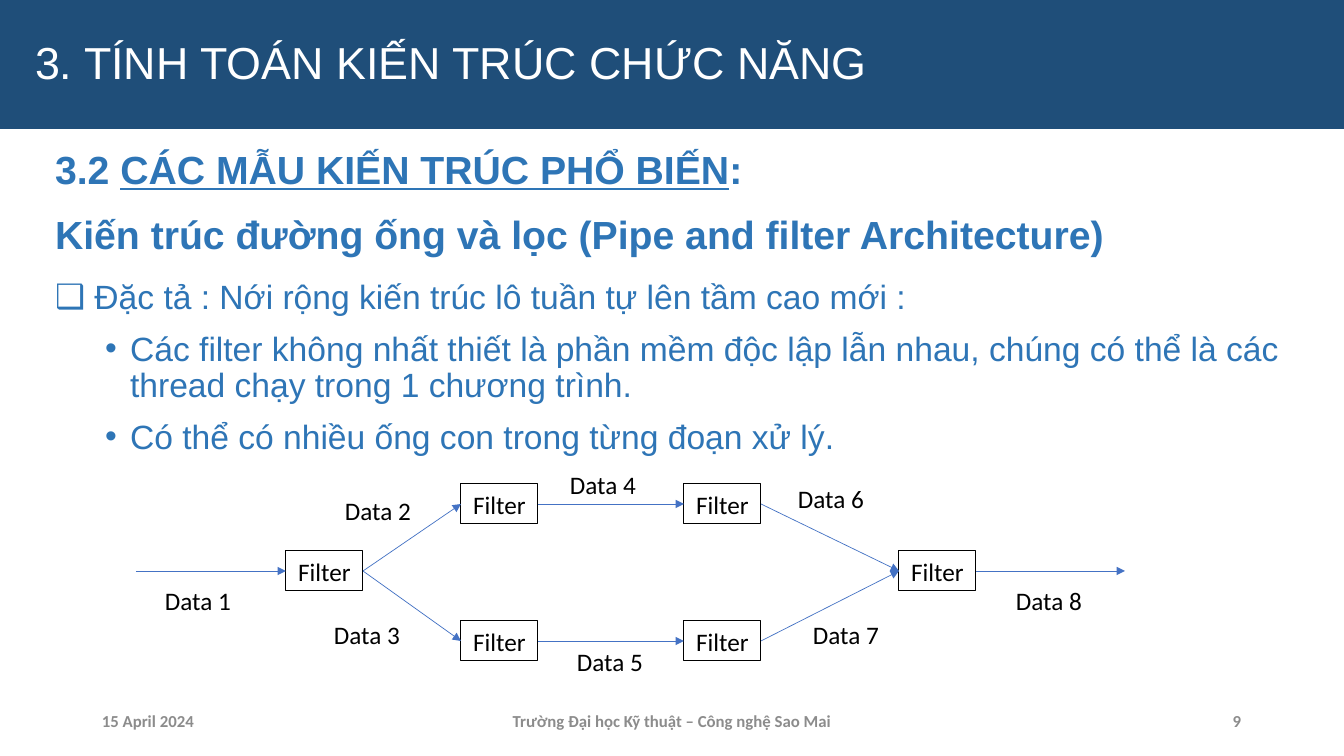
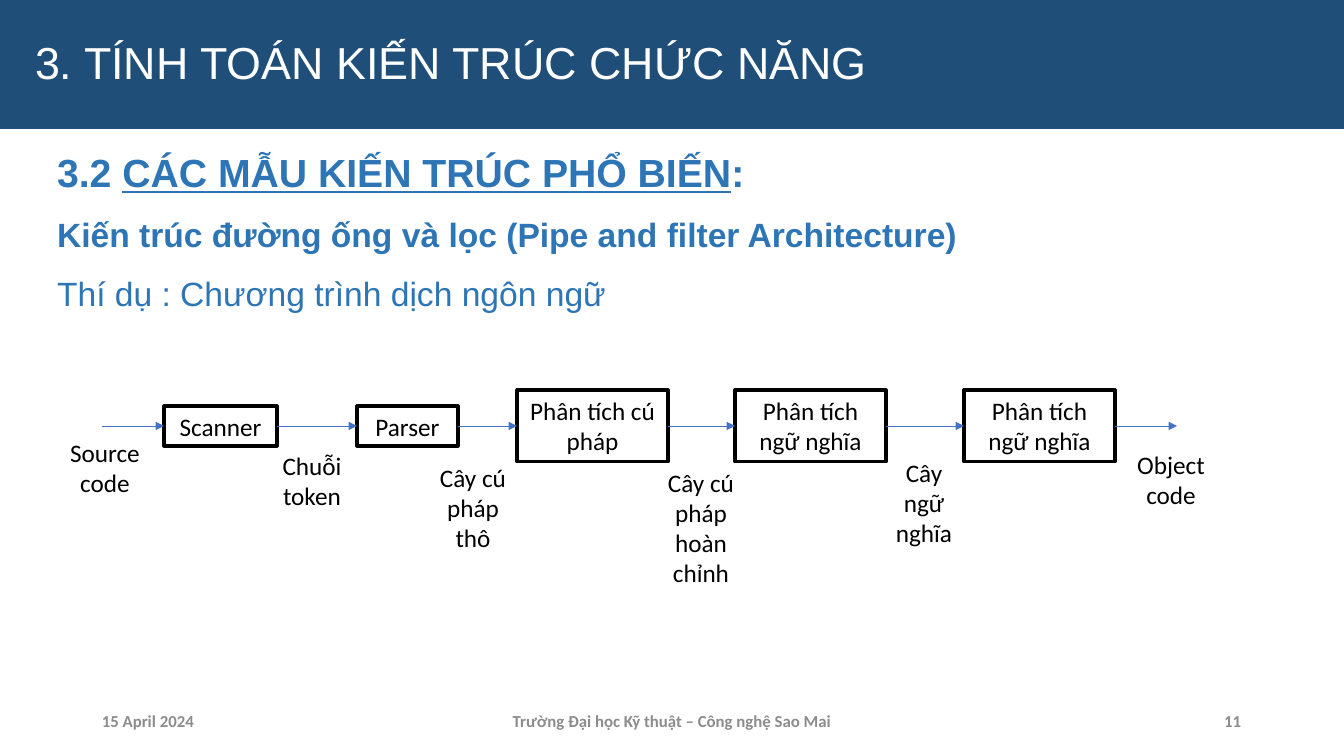
"""Build two slides on pipe and filter architecture."""
from lxml import etree
from pptx import Presentation
from pptx.dml.color import RGBColor
from pptx.enum.shapes import MSO_CONNECTOR, MSO_SHAPE
from pptx.enum.text import MSO_ANCHOR, MSO_AUTO_SIZE, PP_ALIGN
from pptx.oxml.ns import qn
from pptx.util import Emu, Pt

RECT = MSO_SHAPE.RECTANGLE
STRAIGHT = MSO_CONNECTOR.STRAIGHT
TOP, MIDDLE = MSO_ANCHOR.TOP, MSO_ANCHOR.MIDDLE
LEFT, CENTER, RIGHT = PP_ALIGN.LEFT, PP_ALIGN.CENTER, PP_ALIGN.RIGHT
FIXED, GROW = MSO_AUTO_SIZE.NONE, MSO_AUTO_SIZE.SHAPE_TO_FIT_TEXT

NAVY = RGBColor(0x1F, 0x4E, 0x79)
BLUE = RGBColor(0x2E, 0x75, 0xB6)
ARROW = RGBColor(0x44, 0x72, 0xC4)
GRAY = RGBColor(0x8C, 0x8C, 0x8C)
BLACK = RGBColor(0, 0, 0)
WHITE = RGBColor(0xFF, 0xFF, 0xFF)

HEAD, PLAIN = "Arial", "Calibri"
SCALE = 914400 / 100.8
WIDE, HIGH = 1344, 756
BAND = 129
ROW = 40
TITLE = "3. TÍNH TOÁN KIẾN TRÚC CHỨC NĂNG"
STYLE = "Kiến trúc đường ống và lọc (Pipe and filter Architecture)"
DATE = "15 April 2024"
SCHOOL = "Trường Đại học Kỹ thuật – Công nghệ Sao Mai"


def px(count):
    return Emu(round(count * SCALE))


def place(shape, x, y, w, h):
    shape.left, shape.top, shape.width, shape.height = map(px, (x, y, w, h))


def add_run(para, text, font, size, color, bold=False, under=False):
    run = para.add_run()
    run.text = text
    run.font.name = font
    run.font.size = Pt(size)
    run.font.color.rgb = color
    run.font.bold = bold
    run.font.underline = under


def indent(para, left, first, mark=None):
    props = para._p.get_or_add_pPr()
    props.set("marL", str(px(left)))
    props.set("indent", str(px(first)))
    if mark:
        etree.SubElement(props, qn("a:buFont")).set("typeface", HEAD)
        etree.SubElement(props, qn("a:buChar")).set("char", mark)
    else:
        etree.SubElement(props, qn("a:buNone"))


def add_title(slide):
    title = slide.shapes.title
    place(title, 0, 0, WIDE, BAND)
    title.fill.solid()
    title.fill.fore_color.rgb = NAVY
    frame = title.text_frame
    frame.auto_size = FIXED
    frame.vertical_anchor = MIDDLE
    para = frame.paragraphs[0]
    para.alignment = LEFT
    para.line_spacing = 0.9
    indent(para, 25, 0)
    add_run(para, TITLE, HEAD, 32, WHITE)


def add_item(frame, runs, size, bold=False, level=0, mark=None):
    para = frame.paragraphs[0]
    if para.runs:
        para = frame.add_paragraph()
    para.level = level
    para.alignment = LEFT
    para.line_spacing = 0.9
    para.space_before = Pt(5 if level else 10)
    para.space_after = Pt(6)
    indent(para, 25 + 50 * level if mark else 0, -25 if mark else 0, mark)
    for text, under in runs:
        add_run(para, text, HEAD, size, BLUE, bold, under)


def add_body(slide, x, y, items):
    body = slide.placeholders[1]
    place(body, x, y, 1253, 541)
    frame = body.text_frame
    frame.auto_size = FIXED
    runs = [("3.2 ", False), ("CÁC MẪU KIẾN TRÚC PHỔ BIẾN", True), (":", False)]
    add_item(frame, runs, 28, True)
    for text, *look in items:
        add_item(frame, [(text, False)], *look)


def add_text(slide, text, x, y, w, h, align=LEFT, wrap=True):
    box = slide.shapes.add_textbox(*map(px, (x, y, w, h)))
    frame = box.text_frame
    frame.word_wrap = wrap
    frame.paragraphs[0].alignment = align
    return frame


def add_label(slide, text, x, y, w, lines=1, align=CENTER, wrap=True):
    frame = add_text(slide, text, x, y, w, 10 + 30 * lines, align, wrap)
    frame.auto_size = GROW
    add_run(frame.paragraphs[0], text, PLAIN, 18, BLACK)


def add_foot(slide, number):
    parts = ((DATE, 92, 302, LEFT), (SCHOOL, 445, 454, CENTER),
             (number, 949, 302, RIGHT))
    for text, x, w, align in parts:
        frame = add_text(slide, text, x, 701, w, ROW, align)
        frame.vertical_anchor = MIDDLE
        add_run(frame.paragraphs[0], text, PLAIN, 12, GRAY, True)


def add_box(slide, text, x, mid, w, h, line):
    box = slide.shapes.add_shape(RECT, *map(px, (x, mid - h // 2, w, h)))
    box.shadow.inherit = False
    box.fill.background()
    box.line.color.rgb = BLACK
    box.line.width = Pt(line)
    frame = box.text_frame
    frame.word_wrap = True
    frame.auto_size = GROW
    frame.vertical_anchor = TOP
    para = frame.paragraphs[0]
    para.alignment = CENTER
    add_run(para, text, PLAIN, 18, BLACK)
    return box


def add_arrow(slide, start, end):
    ends = [tuple(map(px, spot)) if isinstance(spot, tuple) else (0, 0)
            for spot in (start, end)]
    link = slide.shapes.add_connector(STRAIGHT, *ends[0], *ends[1])
    if not isinstance(start, tuple):
        link.begin_connect(start, 3)
    if not isinstance(end, tuple):
        link.end_connect(end, 1)
    link.line.color.rgb = ARROW
    link.line.width = Pt(0.5)
    tail = etree.SubElement(link.line._get_or_add_ln(), qn("a:tailEnd"))
    tail.set("type", "triangle")
    etree.SubElement(link._element.spPr, qn("a:effectLst"))


def add_slide(deck, number, x, y, items):
    slide = deck.slides.add_slide(deck.slide_layouts[1])
    add_title(slide)
    add_body(slide, x, y, items)
    add_foot(slide, number)
    return slide


def draw_pipes(slide):
    mid, high, low = 571, 504, 641
    spots = ((286, mid), (461, high), (461, low),
             (684, high), (684, low), (899, mid))
    first, up, down, over, under, last = [
        add_box(slide, "Filter", x, y, 77, ROW, 0.75) for x, y in spots]
    links = (((136, mid), first), (up, over), (down, under), (first, up),
             (first, down), (under, last), (over, last), (last, (1125, mid)))
    for start, end in links:
        add_arrow(slide, start, end)
    labels = ((155, 580), (335, 490), (324, 614), (560, 464),
              (567, 641), (788, 478), (803, 614), (1006, 580))
    for count, (x, y) in enumerate(labels, 1):
        add_label(slide, f"Data {count}", x, y, 87, align=LEFT, wrap=False)


def draw_stages(slide):
    mid = 426
    stages = (("Scanner", 164, 113, ROW), ("Parser", 357, 101, ROW),
              ("Phân tích cú pháp", 517, 151, 72),
              ("Phân tích ngữ nghĩa", 735, 151, 72),
              ("Phân tích ngữ nghĩa", 964, 151, 72))
    boxes = [add_box(slide, text, x, mid, w, h, 2.25)
             for text, x, w, h in stages]
    stops = [(102, mid), *boxes, (1177, mid)]
    for start, end in zip(stops, stops[1:]):
        add_arrow(slide, start, end)
    labels = (("Source code", 50, 432, 110, 2),
              ("Chuỗi token", 268, 445, 88, 2),
              ("Cây cú pháp thô", 429, 457, 88, 3),
              ("Cây cú pháp hoàn chỉnh", 657, 462, 88, 4),
              ("Cây ngữ nghĩa", 880, 452, 88, 3),
              ("Object code", 1127, 444, 88, 2))
    for label in labels:
        add_label(slide, *label)


def main():
    deck = Presentation()
    deck.slide_width, deck.slide_height = px(WIDE), px(HIGH)
    pipes = (
        (STYLE, 28, True),
        (" Đặc tả : Nới rộng kiến trúc lô tuần tự lên tầm cao mới :",
         24, False, 0, "❑"),
        ("Các filter không nhất thiết là phần mềm độc lập lẫn nhau, "
         "chúng có thể là các thread chạy trong 1 chương trình.",
         24, False, 1, "•"),
        ("Có thể có nhiều ống con trong từng đoạn xử lý.",
         24, False, 1, "•"))
    draw_pipes(add_slide(deck, "9", 45, 146, pipes))
    stages = ((STYLE, 24, True), ("Thí dụ : Chương trình dịch ngôn ngữ", 24))
    draw_stages(add_slide(deck, "11", 47, 149, stages))
    deck.save("out.pptx")


if __name__ == "__main__":
    main()
